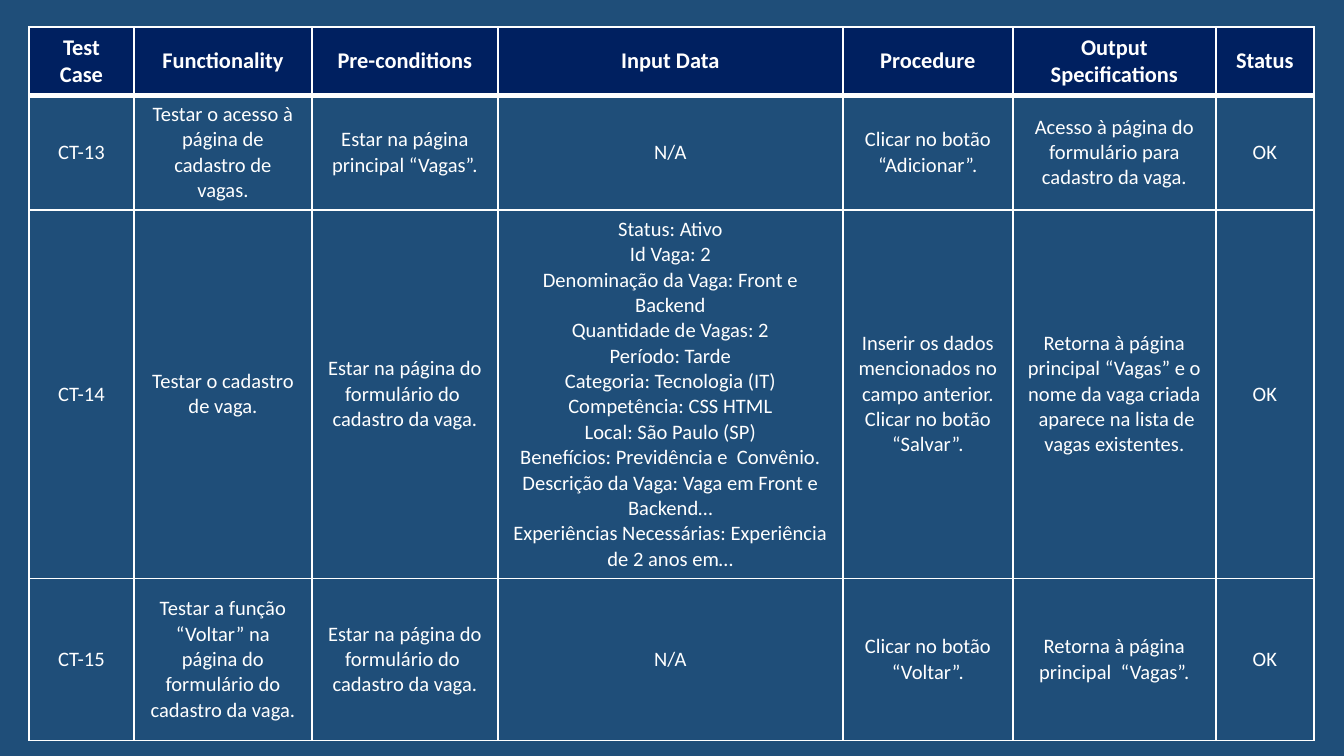
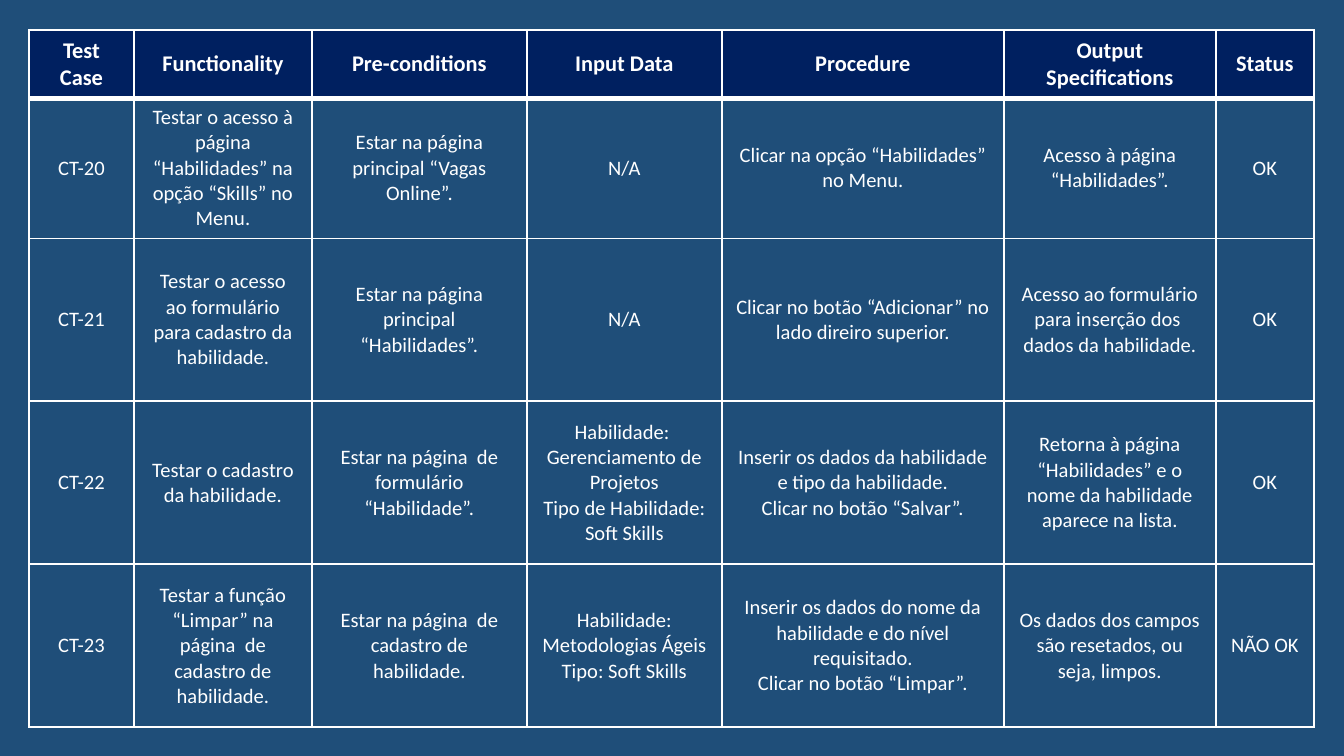
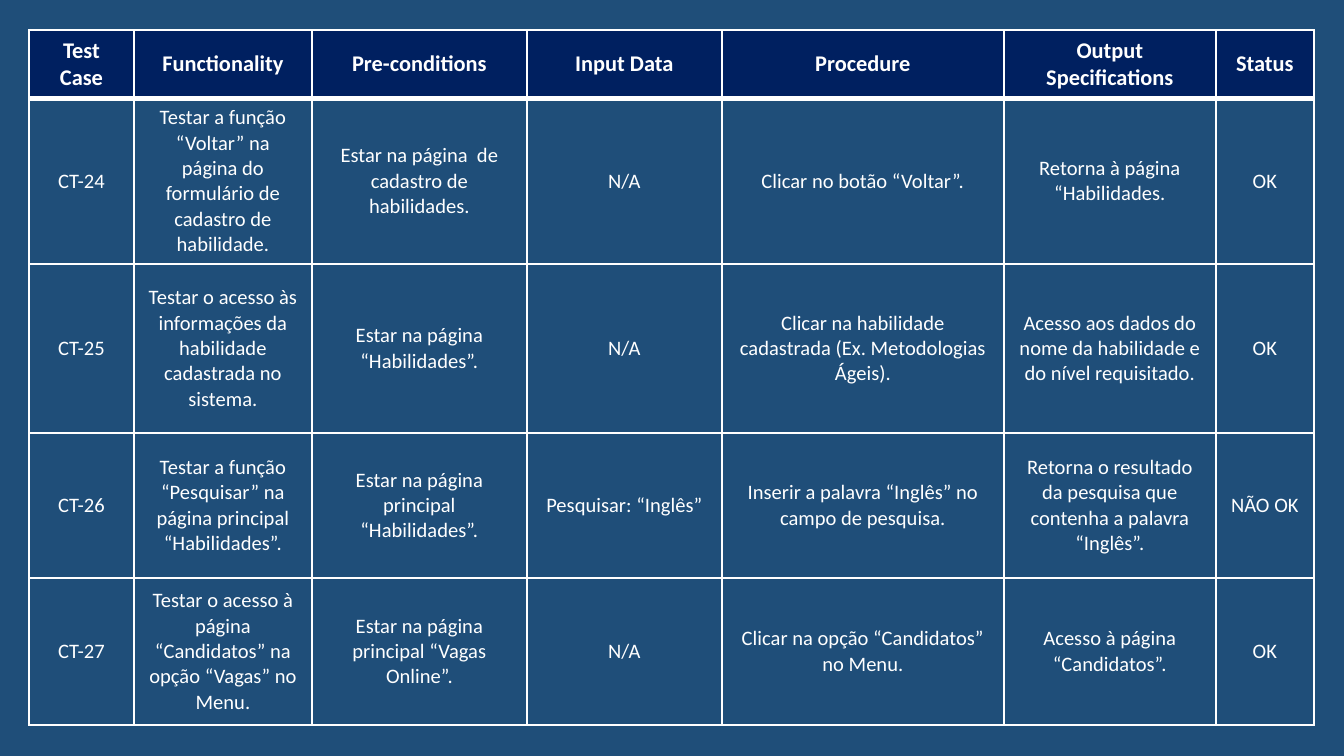
"""Build three slides of test case tables."""
from lxml import etree
from pptx import Presentation
from pptx.dml.color import RGBColor
from pptx.enum.text import MSO_ANCHOR, PP_ALIGN
from pptx.oxml.ns import qn
from pptx.util import Emu, Pt

CENTER = PP_ALIGN.CENTER
MIDDLE = MSO_ANCHOR.MIDDLE
SLIDE_WIDTH, SLIDE_HEIGHT = 1344, 756
EMU_PER_PX = 914400 / 134.4
TABLE_LEFT = 29
FONT = "Calibri"
BACKGROUND, HEADER_FILL, WHITE = "1F4E79", "002060", "FFFFFF"
HEADER_SIZE, BODY_SIZE = 12, 11
THIN, THICK = 1, 3

HEADERS = ["Test Case", "Functionality", "Pre-conditions", "Input Data",
           "Procedure", "Output Specifications", "Status"]
HEADER_HEIGHT = 68
JOB_COLUMNS = [105, 178, 186, 345, 170, 203, 98]
SKILL_COLUMNS = [105, 178, 215, 195, 282, 212, 98]

TABLES = [
    {
        "top": 27,
        "columns": JOB_COLUMNS,
        "heights": [115, 368, 162],
        "cases": [
            ["CT-13",
             "Testar o acesso à página de cadastro de vagas.",
             "Estar na página principal “Vagas”.",
             "N/A",
             "Clicar no botão “Adicionar”.",
             "Acesso à página do formulário para cadastro da vaga.",
             "OK"],
            ["CT-14",
             "Testar o cadastro de vaga.",
             "Estar na página do formulário do  cadastro da vaga.",
             ["Status: Ativo",
              "Id Vaga: 2",
              "Denominação da Vaga: Front e Backend",
              "Quantidade de Vagas: 2",
              "Período: Tarde",
              "Categoria: Tecnologia (IT)",
              "Competência: CSS HTML",
              "Local: São Paulo (SP)",
              "Benefícios: Previdência e  Convênio.",
              "Descrição da Vaga: Vaga em Front e Backend…",
              "Experiências Necessárias: Experiência de 2 anos em…"],
             ["Inserir os dados mencionados no campo anterior.",
              "Clicar no botão “Salvar”."],
             "Retorna à página principal “Vagas” e o nome da vaga criada  "
             "aparece na lista de vagas existentes.",
             "OK"],
            ["CT-15",
             "Testar a função “Voltar” na página do formulário do cadastro da vaga.",
             "Estar na página do formulário do  cadastro da vaga.",
             "N/A",
             "Clicar no botão “Voltar”.",
             "Retorna à página principal  “Vagas”.",
             "OK"],
        ],
    },
    {
        "top": 30,
        "columns": SKILL_COLUMNS,
        "heights": [140, 163, 163, 163],
        "cases": [
            ["CT-20",
             "Testar o acesso à página “Habilidades” na opção “Skills” no Menu.",
             "Estar na página principal “Vagas Online”.",
             "N/A",
             "Clicar na opção “Habilidades” no Menu.",
             "Acesso à página “Habilidades”.",
             "OK"],
            ["CT-21",
             "Testar o acesso ao formulário para cadastro da habilidade.",
             "Estar na página principal “Habilidades”.",
             "N/A",
             "Clicar no botão “Adicionar” no lado direiro superior.",
             "Acesso ao formulário para inserção dos  dados da habilidade.",
             "OK"],
            ["CT-22",
             "Testar o cadastro da habilidade.",
             "Estar na página  de formulário “Habilidade”.",
             ["Habilidade:  Gerenciamento de Projetos",
              "Tipo de Habilidade: Soft Skills"],
             ["Inserir os dados da habilidade e tipo da habilidade.",
              "Clicar no botão “Salvar”."],
             "Retorna à página “Habilidades” e o nome da habilidade aparece na lista.",
             "OK"],
            ["CT-23",
             "Testar a função “Limpar” na página  de cadastro de habilidade.",
             "Estar na página  de cadastro de habilidade.",
             ["Habilidade: Metodologias Ágeis",
              "Tipo: Soft Skills"],
             ["Inserir os dados do nome da habilidade e do nível requisitado.",
              "Clicar no botão “Limpar”."],
             "Os dados dos campos são resetados, ou seja, limpos.",
             "NÃO OK"],
        ],
    },
    {
        "top": 30,
        "columns": SKILL_COLUMNS,
        "heights": [166, 169, 145, 147],
        "cases": [
            ["CT-24",
             "Testar a função “Voltar” na página do formulário de cadastro de habilidade.",
             "Estar na página  de cadastro de habilidades.",
             "N/A",
             "Clicar no botão “Voltar”.",
             "Retorna à página “Habilidades.",
             "OK"],
            ["CT-25",
             "Testar o acesso às informações da habilidade cadastrada no sistema.",
             "Estar na página “Habilidades”.",
             "N/A",
             "Clicar na habilidade cadastrada (Ex. Metodologias Ágeis).",
             "Acesso aos dados do nome da habilidade e do nível requisitado.",
             "OK"],
            ["CT-26",
             "Testar a função “Pesquisar” na página principal “Habilidades”.",
             "Estar na página principal “Habilidades”.",
             "Pesquisar: “Inglês”",
             "Inserir a palavra “Inglês” no campo de pesquisa.",
             "Retorna o resultado da pesquisa que contenha a palavra “Inglês”.",
             "NÃO OK"],
            ["CT-27",
             "Testar o acesso à página “Candidatos” na opção “Vagas” no Menu.",
             "Estar na página principal “Vagas Online”.",
             "N/A",
             "Clicar na opção “Candidatos” no Menu.",
             "Acesso à página “Candidatos”.",
             "OK"],
        ],
    },
]


def px(length):
    return Emu(round(length * EMU_PER_PX))


def color(value):
    return RGBColor.from_string(value)


def write(frame, text, size=BODY_SIZE, bold=False, ink=WHITE):
    lines = [text] if isinstance(text, str) else text
    for index, line in enumerate(lines):
        para = frame.add_paragraph() if index else frame.paragraphs[0]
        para.alignment = CENTER
        span = para.add_run()
        span.text = line
        span.font.name = FONT
        span.font.size = Pt(size)
        span.font.bold = bold
        span.font.color.rgb = color(ink)


def draw_borders(cell, top=THIN, bottom=THIN):
    properties = cell._tc.get_or_add_tcPr()
    widths = {"a:lnL": THIN, "a:lnR": THIN, "a:lnT": top, "a:lnB": bottom}
    for index, (tag, width) in enumerate(widths.items()):
        line = etree.Element(qn(tag), w=str(Pt(width)))
        fill = etree.SubElement(line, qn("a:solidFill"))
        etree.SubElement(fill, qn("a:srgbClr"), val=WHITE)
        properties.insert(index, line)


def add_case_table(page, top, columns, heights, cases):
    rows = [HEADERS] + cases
    heights = [HEADER_HEIGHT] + heights
    table = page.shapes.add_table(
        len(rows), len(columns), px(TABLE_LEFT), px(top),
        px(sum(columns)), px(sum(heights))).table
    table.horz_banding = False
    for column, width in zip(table.columns, columns):
        column.width = px(width)
    for row_index, (row, height, texts) in enumerate(zip(table.rows, heights, rows)):
        row.height = px(height)
        is_header = row_index == 0
        for cell, text in zip(row.cells, texts):
            cell.vertical_anchor = MIDDLE
            if is_header:
                cell.fill.solid()
                cell.fill.fore_color.rgb = color(HEADER_FILL)
            else:
                cell.fill.background()
            write(cell.text_frame, text, bold=is_header,
                  size=HEADER_SIZE if is_header else BODY_SIZE)
            draw_borders(cell, top=THICK if row_index == 1 else THIN,
                         bottom=THICK if is_header else THIN)


def main():
    deck = Presentation()
    deck.slide_width, deck.slide_height = px(SLIDE_WIDTH), px(SLIDE_HEIGHT)
    for content in TABLES:
        page = deck.slides.add_slide(deck.slide_layouts[6])
        page.background.fill.solid()
        page.background.fill.fore_color.rgb = color(BACKGROUND)
        add_case_table(page, **content)
    deck.save("out.pptx")


if __name__ == "__main__":
    main()
